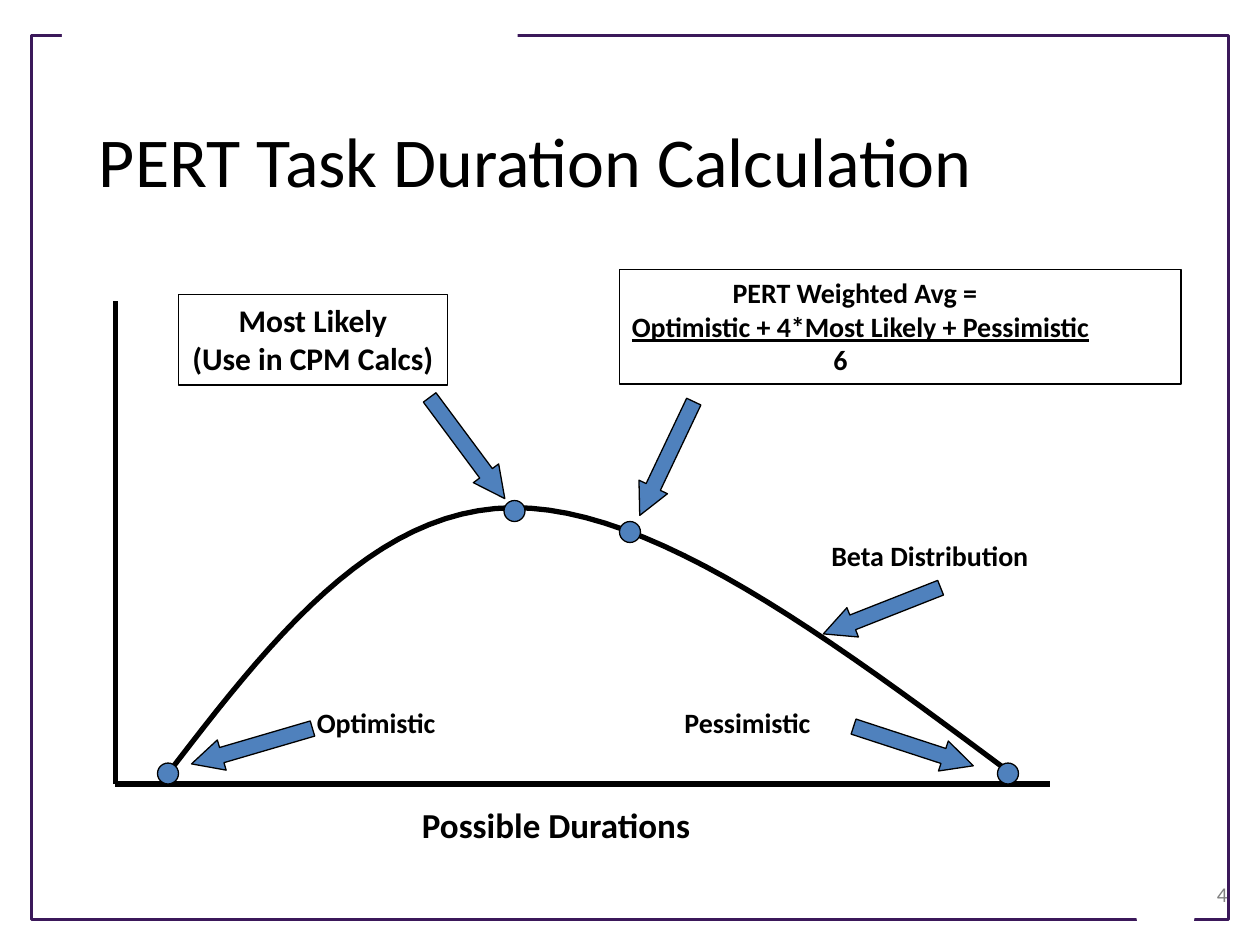
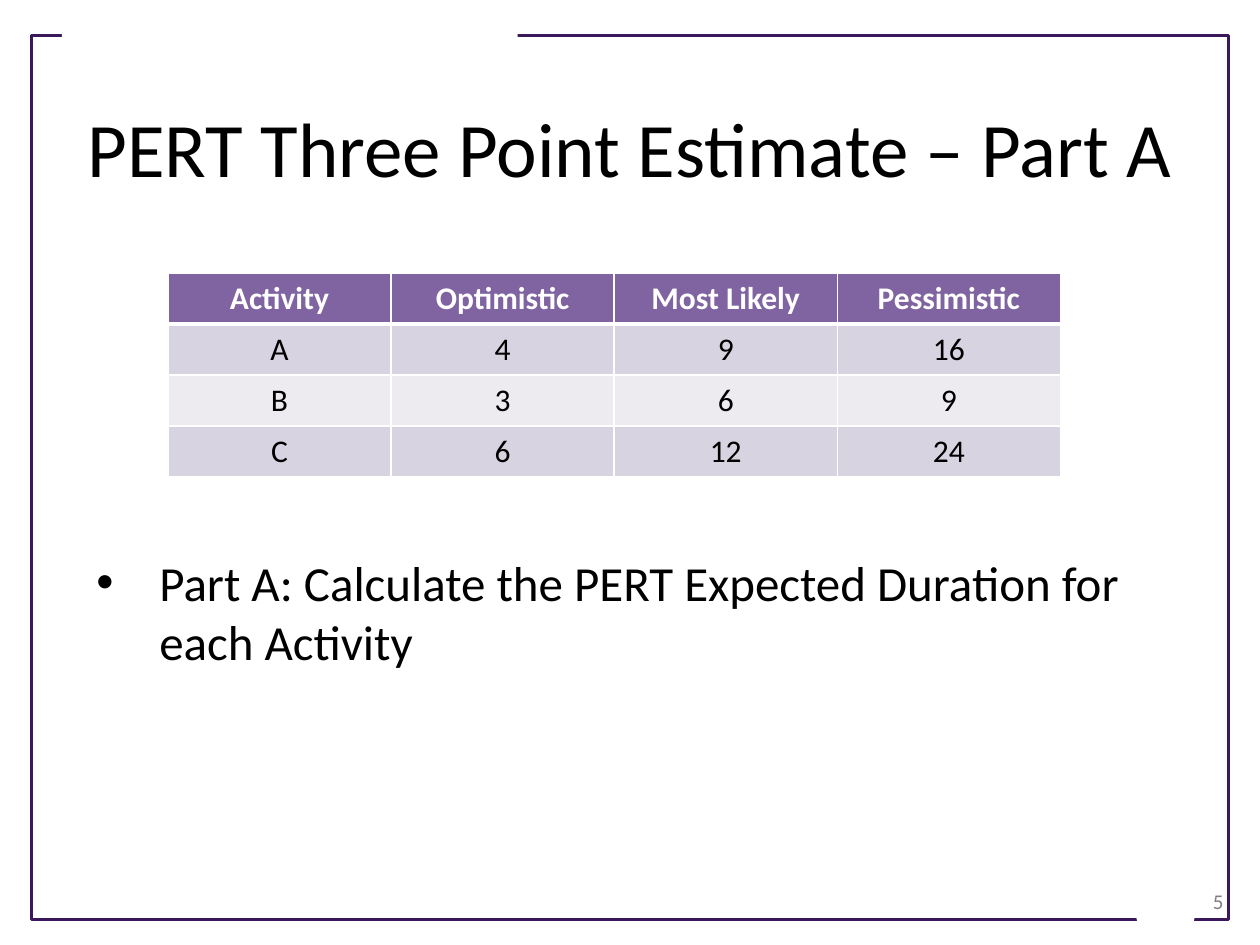
from dataclasses import dataclass

from pptx import Presentation
from pptx.dml.color import RGBColor
from pptx.enum.shapes import MSO_CONNECTOR, MSO_SHAPE as Shape
from pptx.enum.text import MSO_ANCHOR as Anchor, PP_ALIGN as Align
from pptx.oxml import parse_xml
from pptx.oxml.ns import nsdecls
from pptx.oxml.xmlchemy import OxmlElement
from pptx.util import Inches, Pt

BLACK = RGBColor(0x00, 0x00, 0x00)
WHITE = RGBColor(0xFF, 0xFF, 0xFF)
GREY = RGBColor(0x80, 0x80, 0x80)
FRAME_PURPLE = RGBColor(0x3B, 0x18, 0x5A)
MARKER_BLUE = RGBColor(0x4F, 0x81, 0xBD)
HEADER_PURPLE = RGBColor(0x80, 0x64, 0xA2)
BANDS = RGBColor(0xD8, 0xD3, 0xE0), RGBColor(0xED, 0xEA, 0xF0)

FONT = "Calibri"
CELL = Inches(1) / 12  # the slide is a grid of 120 columns by 90 rows
COLUMNS, ROWS = 120, 90

CURVE = [  # two Bezier arcs, from the optimistic to the pessimistic end
    [(4.72, 45.37), (14.56, 32.53), (24.4, 19.81), (37.84, 19.69)],
    [(37.84, 19.69), (51.16, 19.57), (68.08, 32.17), (85, 44.77)],
]
CURVE_STEPS = 24
DOT_CENTRES = [(5, 45), (38, 20), (49, 22), (85, 45)]
ARROWS = [  # centre column, centre row, rotation
    (33.5, 14, 53.4),
    (52.5, 15, 115.4),
    (73, 29.5, 158.5),
    (76, 42.4, 18.1),
    (13, 42.4, 163.7),
]
LABELS = [  # text, column, row, width, height, size
    ("Optimistic", 18, 37.9, 15.5, 4.4, 16),
    ("Pessimistic", 53, 37.9, 17.2, 4.4, 16),
    ("Beta Distribution", 67, 22, 24, 4.4, 16),
    ("Possible Durations", 28, 47.3, 32.6, 5.2, 20),
]
FORMULA = [  # text, left indent in columns, underlined
    ("PERT Weighted Avg =", 9.6, False),
    ("Optimistic + 4*Most Likely + Pessimistic", 0, True),
    ("6", 19.2, False),
]
ESTIMATES = [
    ("Activity", "Optimistic", "Most Likely", "Pessimistic"),
    ("A", "4", "9", "16"),
    ("B", "3", "6", "9"),
    ("C", "6", "12", "24"),
]


def grid(cells):
    return round(cells * CELL)


@dataclass
class Box:
    """A region of the slide, in grid columns and rows."""
    left: float
    top: float
    width: float
    height: float

    def point(self, column, row):
        return grid(self.left + column), grid(self.top + row)

    def inner(self, column, row, width, height):
        return Box(self.left + column, self.top + row, width, height)

    def centred(self, column, row, width, height):
        return self.inner(column - width / 2, row - height / 2, width, height)

    def emu(self):
        return [grid(v) for v in (self.left, self.top, self.width, self.height)]


def apply(target, **values):
    for name, value in values.items():
        setattr(target, name, value)


def style_font(font, size, color=BLACK, **values):
    apply(font, name=FONT, size=Pt(size), **values)
    font.color.rgb = color


def style_line(line, color, width):
    line.color.rgb = color
    line.width = Pt(width)


def add_figure(slide, kind, box, fill=None, line=None):
    """Add a preset shape; line is a (color, points) pair."""
    figure = slide.shapes.add_shape(kind, *box.emu())
    figure.shadow.inherit = False
    if fill is None:
        figure.fill.background()
    else:
        figure.fill.solid()
        figure.fill.fore_color.rgb = fill
    if line is None:
        figure.line.fill.background()
    else:
        style_line(figure.line, *line)
    return figure


def write(frame, lines, size, color=BLACK, align=Align.LEFT, **values):
    frame.word_wrap = True
    frame.vertical_anchor = Anchor.TOP
    for index, line in enumerate(lines):
        paragraph = frame.add_paragraph() if index else frame.paragraphs[0]
        paragraph.alignment = align
        run = paragraph.add_run()
        run.text = line
        style_font(run.font, size, color, **values)


def add_text(slide, box, line, size, **values):
    frame = slide.shapes.add_textbox(*box.emu()).text_frame
    write(frame, [line], size, **values)
    return frame


def add_frame(slide, box):
    add_figure(slide, Shape.RECTANGLE, box, line=(FRAME_PURPLE, 1.75))
    add_figure(slide, Shape.RECTANGLE, box.inner(2.9, -1.4, 43.4, 2.9), WHITE)
    notch = box.inner(104.2, 79.9, 7.6, 5.2)
    add_figure(slide, Shape.TRAPEZOID, notch, WHITE).rotation = 180


def start_slide(deck, title, title_box, title_size, number, number_box):
    slide = deck.slides.add_slide(deck.slide_layouts[5])
    add_frame(slide, Box(3, 3.4, 114, 84.2))
    heading = slide.shapes.title
    left, top, width, height = title_box.emu()
    apply(heading, left=left, top=top, width=width, height=height)
    write(heading.text_frame, [title], title_size, align=Align.CENTER)
    heading.text_frame.vertical_anchor = Anchor.MIDDLE
    add_text(slide, number_box, number, 12, color=GREY, align=Align.RIGHT)
    return slide


def add_axes(slide, box):
    origin = box.point(0, box.height)
    for end in (box.point(0, 0), box.point(box.width, box.height)):
        axis = slide.shapes.add_connector(MSO_CONNECTOR.STRAIGHT, *origin, *end)
        style_line(axis.line, BLACK, 3)
        axis._element.spPr.append(OxmlElement("a:effectLst"))


def bezier(points, t):
    weights = (1 - t) ** 3, 3 * t * (1 - t) ** 2, 3 * t * t * (1 - t), t ** 3
    return [sum(w * v for w, v in zip(weights, axis)) for axis in zip(*points)]


def add_curve(slide, box):
    start, *rest = [
        box.point(*bezier(arc, step / CURVE_STEPS))
        for arc in CURVE for step in range(CURVE_STEPS + 1)
    ]
    builder = slide.shapes.build_freeform(*start)
    builder.add_line_segments(rest, close=False)
    curve = builder.convert_to_shape()
    curve.shadow.inherit = False
    curve.fill.background()
    style_line(curve.line, BLACK, 3)


def add_callouts(slide, box):
    outline = (BLACK, 0.75)
    likely = add_figure(slide, Shape.RECTANGLE, box.inner(6, -0.6, 25.6, 8.6),
                        line=outline).text_frame
    apply(likely, margin_left=0, margin_right=0)
    write(likely, ["Most Likely", "(Use in CPM Calcs)"], 18,
          align=Align.CENTER, bold=True)

    formula = add_figure(slide, Shape.RECTANGLE, box.inner(48, -3, 53.5, 10.9),
                         line=outline).text_frame
    write(formula, [text for text, _, _ in FORMULA], 16, bold=True)
    for paragraph, (_, indent, underlined) in zip(formula.paragraphs, FORMULA):
        paragraph._p.get_or_add_pPr().set("marL", str(grid(indent)))
        paragraph.runs[0].font.underline = underlined


def add_markers(slide, box):
    style = dict(fill=MARKER_BLUE, line=(BLACK, 0.75))
    for column, row in DOT_CENTRES:
        add_figure(slide, Shape.OVAL, box.centred(column, row, 2, 2), **style)
    for column, row, angle in ARROWS:
        arrow = add_figure(slide, Shape.RIGHT_ARROW,
                           box.centred(column, row, 12, 3), **style)
        arrow.rotation = angle
        arrow.adjustments[1] = 1


def add_distribution(slide, box):
    add_axes(slide, box)
    add_curve(slide, box)
    add_callouts(slide, box)
    for text, column, row, width, height, size in LABELS:
        add_text(slide, box.inner(column, row, width, height), text, size, bold=True)
    add_markers(slide, box)


def set_borders(cell, bottom):
    """Draw white cell borders; bottom is the width of the lower one in points."""
    properties = cell._tc.get_or_add_tcPr()
    for index, (side, width) in enumerate(dict(L=1, R=1, T=1, B=bottom).items()):
        properties.insert(index, parse_xml(
            f'<a:ln{side} {nsdecls("a")} w="{Pt(width)}"><a:solidFill>'
            f'<a:srgbClr val="{WHITE}"/></a:solidFill></a:ln{side}>'))


def add_estimates(slide, box):
    table = slide.shapes.add_table(
        len(ESTIMATES), len(ESTIMATES[0]), *box.emu()).table
    for row, values in enumerate(ESTIMATES):
        header = row == 0
        for column, value in enumerate(values):
            cell = table.cell(row, column)
            cell.fill.solid()
            cell.fill.fore_color.rgb = HEADER_PURPLE if header else BANDS[(row - 1) % 2]
            set_borders(cell, 3 if header else 1)
            write(cell.text_frame, [value], 18, WHITE if header else BLACK,
                  Align.CENTER, bold=header)


def add_task(slide, box, text):
    properties = add_text(slide, box, text, 28).paragraphs[0]._p.get_or_add_pPr()
    for name, value in dict(marL=grid(6), indent=-grid(6)).items():
        properties.set(name, str(value))
    for tag, name, value in (("a:buFont", "typeface", "Arial"),
                             ("a:buChar", "char", "•")):
        bullet = OxmlElement(tag)
        bullet.set(name, value)
        properties.append(bullet)


def main():
    deck = Presentation()
    apply(deck, slide_width=grid(COLUMNS), slide_height=grid(ROWS))

    calculation = start_slide(
        deck, "PERT Task Duration Calculation", Box(0, 7.7, 102, 15), 40,
        "4", Box(93.1, 83.4, 25, 6))
    add_distribution(calculation, Box(11, 28.67, 89, 46))

    estimate = start_slide(
        deck, "PERT Three Point Estimate – Part A", Box(6, 7, 108, 14), 44,
        "5", Box(89.7, 84, 28, 4.8))
    add_estimates(estimate, Box(16, 26, 85, 19.44))
    add_task(estimate, Box(8, 52, 108, 12.5),
             "Part A: Calculate the PERT Expected Duration for each Activity")

    deck.save("out.pptx")


if __name__ == "__main__":
    main()
